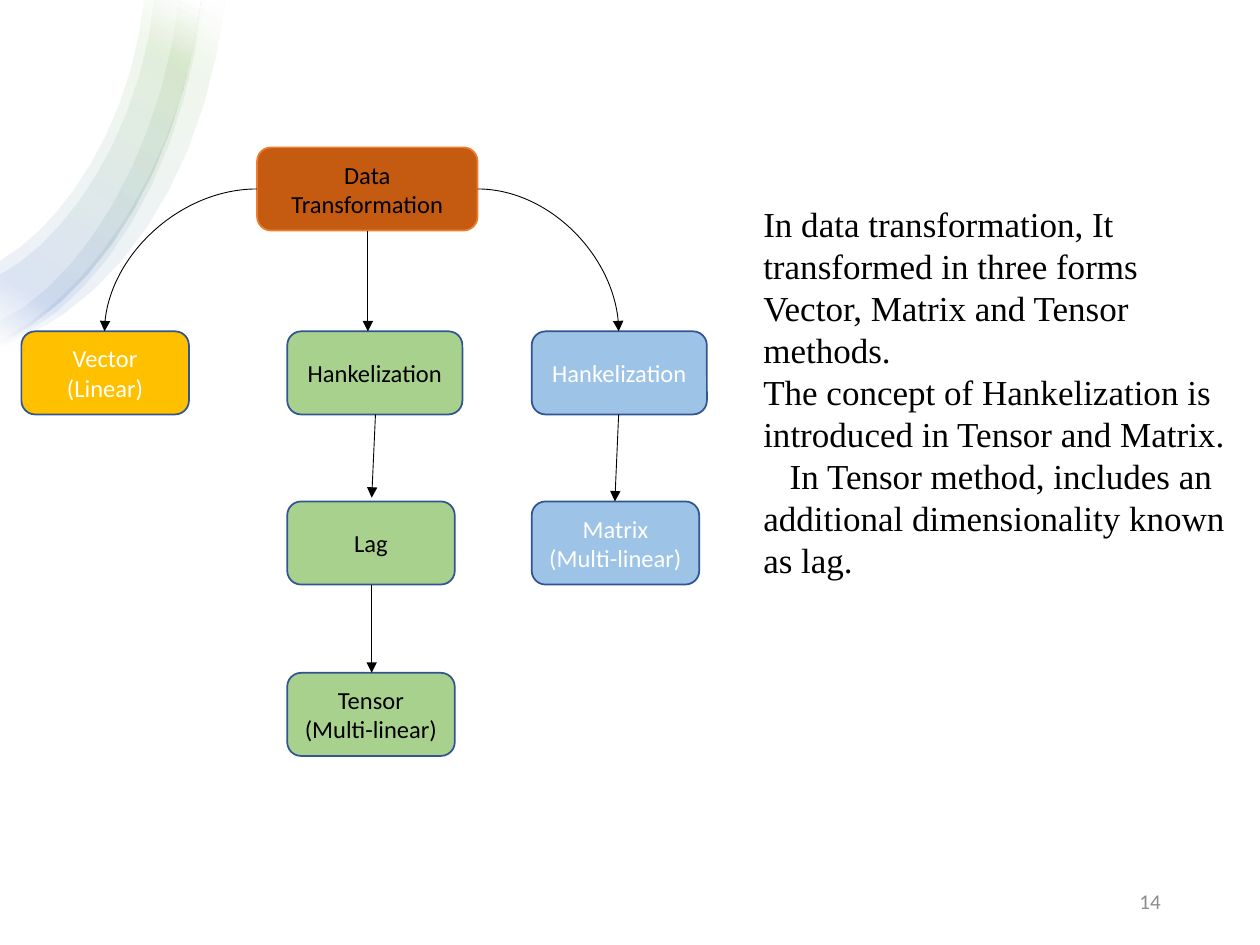
from lxml import etree
from pptx import Presentation
from pptx.dml.color import RGBColor
from pptx.enum.shapes import MSO_CONNECTOR, MSO_SHAPE
from pptx.enum.text import MSO_ANCHOR, PP_ALIGN
from pptx.oxml import parse_xml
from pptx.oxml.ns import qn
from pptx.util import Inches, Pt

RECTANGLE, ROUNDED = MSO_SHAPE.RECTANGLE, MSO_SHAPE.ROUNDED_RECTANGLE
STRAIGHT, CURVE = MSO_CONNECTOR.STRAIGHT, MSO_CONNECTOR.CURVE
MIDDLE = MSO_ANCHOR.MIDDLE
LEFT, CENTER, RIGHT = PP_ALIGN.LEFT, PP_ALIGN.CENTER, PP_ALIGN.RIGHT
DRAWING_NS = "http://schemas.openxmlformats.org/drawingml/2006/main"
GREEN, BLUE, BLACK, WHITE, NAVY = "A9D18E", "9DC3E6", "000000", "FFFFFF", "325491"


def rgb(value):
    return RGBColor.from_string(value)


def write(frame, lines, font_name, size, color, align):
    frame.word_wrap = True
    for index, line in enumerate(lines):
        para = frame.paragraphs[0] if index == 0 else frame.add_paragraph()
        para.text = line
        para.alignment = align
        para.font.name = font_name
        para.font.size = Pt(size)
        para.font.color.rgb = rgb(color)


deck = Presentation()
deck.slide_width, deck.slide_height = Inches(10), Inches(7.5)
page = deck.slides.add_slide(deck.slide_layouts[6])

# White backdrop
backdrop = page.shapes.add_shape(RECTANGLE, Inches(-0.01), 0, Inches(10), Inches(7.5))
backdrop.shadow.inherit = False
backdrop.fill.solid()
backdrop.fill.fore_color.rgb = rgb(WHITE)
backdrop.line.fill.background()

# Corner swoosh: each band lies between an outer and an inner Bezier curve
middle_edge = [(0, 2.73), (0.87, 2.28), (1.43, 1.24), (1.59, 0)]
bands = [
    ([(0, 2.75), (0.87, 2.45), (1.62, 1.46), (1.78, 0)],
     [(0, 2.7), (0.7, 2.34), (1.43, 1.35), (1.59, 0)]),
    (middle_edge, [(0, 2.07), (0.5, 1.78), (1.03, 1), (1.14, 0)]),
    ([(0, 2.74), (0.78, 2.42), (1.45, 1.4), (1.61, 0)],
     [(0, 2.54), (0.62, 2.25), (1.27, 1.25), (1.42, 0)]),
    (middle_edge, [(0, 2.18), (0.52, 1.9), (1.1, 1.08), (1.22, 0)]),
]
stops = "".join(
    f'<a:gs pos="{position}000"><a:srgbClr val="{color}">'
    '<a:alpha val="10000"/></a:srgbClr></a:gs>'
    for position, color in [(2, WHITE), (16, "70AD47"), (85, "4472C4"), (100, WHITE)])
gradient = (f'<a:gradFill xmlns:a="{DRAWING_NS}" rotWithShape="1"><a:gsLst>{stops}</a:gsLst>'
            f'<a:lin ang="{120 * 60000}" scaled="0"/></a:gradFill>')
STEPS = 10
for edges in bands:
    outer, inner = [
        [tuple((1 - t) ** 3 * a + 3 * (1 - t) ** 2 * t * b + 3 * (1 - t) * t ** 2 * c + t ** 3 * d
               for a, b, c, d in zip(*edge))
         for t in (step / STEPS for step in range(STEPS + 1))]
        for edge in edges]
    outline = [(Inches(x), Inches(y)) for x, y in outer + inner[::-1]]
    builder = page.shapes.build_freeform(*outline[0])
    builder.add_line_segments(outline[1:], close=True)
    band = builder.convert_to_shape()
    band.shadow.inherit = False
    band.line.fill.background()
    band._element.spPr.find(qn("a:custGeom")).addnext(parse_xml(gradient))

# Slide number
number = page.shapes.add_textbox(Inches(7.06), Inches(6.95), Inches(2.25), Inches(0.4))
number.text_frame.vertical_anchor = MIDDLE
write(number.text_frame, ["14"], "Calibri", 12, "8C8C8C", RIGHT)

# Flow chart boxes
BOX_HEIGHT = 0.66
ROWS = [1.17, 2.63, 3.98, 5.34]
nodes = [
    (2.04, 0, 1.75, ["Data Transformation"], "C55A11", "ED7D31", BLACK),
    (0.17, 1, 1.33, ["Vector", "(Linear)"], "FFC000", NAVY, WHITE),
    (2.28, 1, 1.39, ["Hankelization"], GREEN, NAVY, BLACK),
    (4.22, 1, 1.39, ["Hankelization"], BLUE, NAVY, WHITE),
    (2.28, 2, 1.33, ["Lag"], GREEN, NAVY, BLACK),
    (4.22, 2, 1.33, ["Matrix", "(Multi-linear)"], BLUE, NAVY, WHITE),
    (2.28, 3, 1.33, ["Tensor", "(Multi-linear)"], GREEN, NAVY, BLACK),
]
for left, row, width, lines, fill, border, color in nodes:
    box = page.shapes.add_shape(ROUNDED, Inches(left), Inches(ROWS[row]),
                                Inches(width), Inches(BOX_HEIGHT))
    box.shadow.inherit = False
    box.fill.solid()
    box.fill.fore_color.rgb = rgb(fill)
    box.line.color.rgb = rgb(border)
    box.line.width = Pt(1)
    box.text_frame.vertical_anchor = MIDDLE
    write(box.text_frame, lines, "Calibri", 14, color, CENTER)

# Arrows
arrows = [
    (CURVE, 2.04, 1.5, 0.83, 2.63),
    (CURVE, 3.79, 1.5, 4.91, 2.63),
    (STRAIGHT, 2.92, 1.83, 2.92, 2.63),
    (STRAIGHT, 2.98, 3.29, 2.95, 3.95),
    (STRAIGHT, 4.91, 3.29, 4.88, 3.98),
    (STRAIGHT, 2.95, 4.64, 2.95, 5.34),
]
for kind, *ends in arrows:
    arrow = page.shapes.add_connector(kind, *[Inches(value) for value in ends])
    arrow.line.color.rgb = rgb(BLACK)
    arrow.line.width = Pt(0.5)
    properties = arrow._element.spPr
    if kind == CURVE:
        properties.find(qn("a:prstGeom")).set("prst", "curvedConnector2")
    etree.SubElement(properties.find(qn("a:ln")), qn("a:tailEnd"), type="triangle")
    etree.SubElement(properties, qn("a:effectLst"))

# Explanation, with a tab stop for the indented sentence
explanation = page.shapes.add_textbox(Inches(5.96), Inches(1.56), Inches(3.87), Inches(3.13))
write(explanation.text_frame, [
    "In data transformation, It transformed in three forms Vector, Matrix and Tensor methods.",
    "The concept of Hankelization is introduced in Tensor and Matrix.\v"
    "\tIn Tensor method, includes an additional dimensionality known as lag.",
], "Times New Roman", 20, BLACK, LEFT)
last_para = explanation.text_frame.paragraphs[-1]
last_para._p.get_or_add_pPr().insert(0, parse_xml(
    f'<a:tabLst xmlns:a="{DRAWING_NS}"><a:tab pos="{Inches(0.21)}" algn="l"/></a:tabLst>'))

deck.save("out.pptx")
